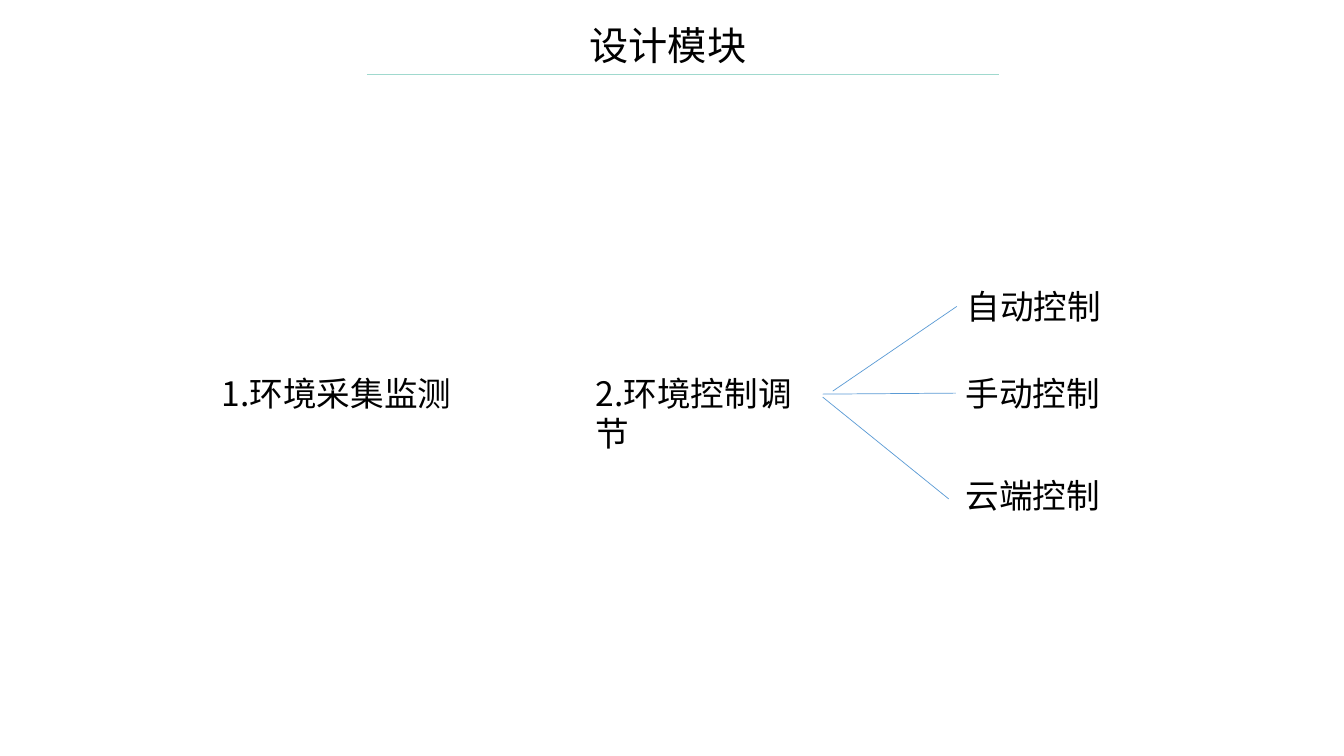
"""Build the design modules slide: two modules, the second with three control modes."""
from lxml import etree
from pptx import Presentation
from pptx.dml.color import RGBColor
from pptx.enum import shapes, text
from pptx.oxml.ns import qn
from pptx.util import Inches, Pt

BLACK = RGBColor(0x00, 0x00, 0x00)
MINT = RGBColor(0xA0, 0xD9, 0xCE)
BLUE = RGBColor(0x5B, 0x9B, 0xD5)
FONT = "Noto Sans CJK SC"

deck = Presentation()
deck.slide_width, deck.slide_height = Inches(13.33), Inches(7.5)
slide = deck.slides.add_slide(deck.slide_layouts[6])


def add_text(words, left, top, width, height=0.5, size=24, align=text.PP_ALIGN.LEFT, wrap=True):
    label = slide.shapes.add_textbox(Inches(left), Inches(top), Inches(width), Inches(height))
    frame = label.text_frame
    frame.word_wrap = wrap
    frame.auto_size = text.MSO_AUTO_SIZE.SHAPE_TO_FIT_TEXT
    paragraph = frame.paragraphs[0]
    paragraph.alignment = align
    run = paragraph.add_run()
    run.text = words
    run.font.size = Pt(size)
    run.font.color.rgb = BLACK
    run.font.name = FONT
    etree.SubElement(run.font._element, qn("a:ea")).set("typeface", FONT)
    return label


def add_line(start, end, color):
    line = slide.shapes.add_connector(
        shapes.MSO_CONNECTOR.STRAIGHT, *(Inches(value) for value in start + end))
    line.line.color.rgb = color
    line.line.width = Pt(0.5)
    etree.SubElement(line._element.spPr, qn("a:effectLst"))
    return line


add_line((3.64, 0.74), (9.91, 0.74), MINT)
add_text("设计模块", 3.49, 0.16, 6.27, height=0.57, size=28, align=text.PP_ALIGN.CENTER)
add_text("1.环境采集监测", 2.1, 3.65, 2.5)
add_text("2.环境控制调节", 5.81, 3.65, 2.45)

control_modes = [
    ("自动控制", 9.49, 2.79, 2.09, True, (8.26, 3.88), (9.49, 3.05), True),
    ("手动控制", 9.48, 3.65, 1.53, False, (8.16, 3.91), (9.48, 3.9), True),
    ("云端控制", 9.48, 4.66, 1.53, False, (8.16, 3.94), (9.41, 4.95), False),
]
for name, left, top, width, wrap, start, end, joined in control_modes:
    mode = add_text(name, left, top, width, wrap=wrap)
    branch = add_line(start, end, BLUE)
    if joined:
        branch.end_connect(mode, 1)

deck.save("out.pptx")
